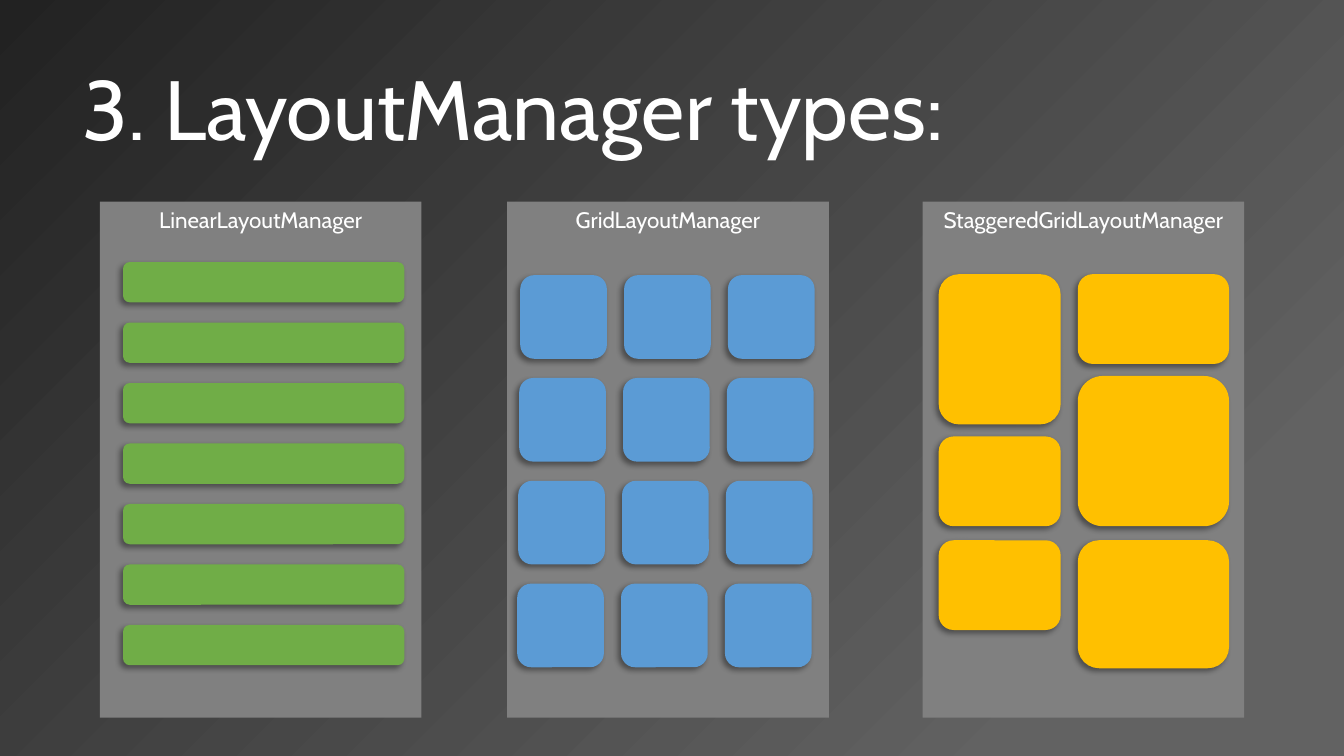
from dataclasses import dataclass

from pptx import Presentation
from pptx.dml.color import RGBColor
from pptx.enum.shapes import MSO_SHAPE
from pptx.enum.text import MSO_ANCHOR, PP_ALIGN
from pptx.oxml import parse_xml
from pptx.oxml.ns import nsdecls, qn
from pptx.util import Inches, Pt

RECTANGLE = MSO_SHAPE.RECTANGLE
ROUNDED = MSO_SHAPE.ROUNDED_RECTANGLE
TOP, BOTTOM = MSO_ANCHOR.TOP, MSO_ANCHOR.BOTTOM
LEFT, CENTER = PP_ALIGN.LEFT, PP_ALIGN.CENTER


@dataclass(frozen=True)
class Theme:
    font: str = "Cabin"
    title_size: int = 60
    label_size: int = 16
    text: str = "FFFFFF"
    panel: str = "808080"
    linear: str = "70AD47"
    grid: str = "5B9BD5"
    staggered: str = "FFC000"
    background_light: str = "626262"
    background_dark: str = "222222"
    shadow: str = "000000"


THEME = Theme()


def paint_background(slide):
    """Radial gradient, light at the bottom right corner."""
    slide.background.fill.gradient()
    gradient = slide.element.find(".//" + qn("a:gradFill"))
    gradient.getparent().replace(gradient, parse_xml(
        f'<a:gradFill {nsdecls("a")} rotWithShape="1"><a:gsLst>'
        f'<a:gs pos="16000"><a:srgbClr val="{THEME.background_light}"/></a:gs>'
        f'<a:gs pos="100000"><a:srgbClr val="{THEME.background_dark}"/></a:gs>'
        '</a:gsLst><a:path path="circle"><a:fillToRect l="100000" t="100000"/></a:path>'
        '<a:tileRect r="-100000" b="-100000"/></a:gradFill>'))


def add_text(slide, box, text, size, anchor=TOP, alignment=LEFT):
    frame = slide.shapes.add_textbox(*map(Inches, box)).text_frame
    frame.word_wrap = True
    frame.vertical_anchor = anchor
    paragraph = frame.paragraphs[0]
    paragraph.text = text
    paragraph.alignment = alignment
    paragraph.font.name = THEME.font
    paragraph.font.size = Pt(size)
    paragraph.font.color.rgb = RGBColor.from_string(THEME.text)
    return paragraph


def add_block(slide, kind, box, color):
    shape = slide.shapes.add_shape(kind, *map(Inches, box))
    shape.shadow.inherit = False
    shape.fill.solid()
    shape.fill.fore_color.rgb = RGBColor.from_string(color)
    shape.line.fill.background()
    return shape


def add_item(slide, box, color):
    """Rounded list item with a soft shadow to the lower left."""
    shape = add_block(slide, ROUNDED, box, color)
    effects = shape.element.spPr.find(qn("a:effectLst"))
    effects.append(parse_xml(
        f'<a:outerShdw {nsdecls("a")} blurRad="{Pt(4)}" dist="{Pt(3)}" dir="8100000" '
        f'algn="tr" rotWithShape="0"><a:srgbClr val="{THEME.shadow}">'
        '<a:alpha val="40000"/></a:srgbClr></a:outerShdw>'))


def add_title(slide, box):
    paragraph = add_text(slide, box, "3. LayoutManager types:", THEME.title_size, BOTTOM)
    paragraph.line_spacing = 0.9


def add_panel(slide, box, label):
    left, top, width, _ = box
    add_block(slide, RECTANGLE, box, THEME.panel)
    add_text(slide, (left, top, width, 0.37), label, THEME.label_size, alignment=CENTER)


def add_linear(slide, box):
    left, top, _, _ = box
    add_panel(slide, box, "LinearLayoutManager")
    for row in range(7):
        add_item(slide, (left + 0.23, top + 0.6 + row * 0.6, 2.79, 0.4), THEME.linear)


def add_grid(slide, box):
    left, top, _, _ = box
    add_panel(slide, box, "GridLayoutManager")
    row_shift = 0.01  # each row starts slightly further left
    for row in range(4):
        for column in range(3):
            item_left = left + 0.13 + column * 1.03 - row * row_shift
            item_top = top + 0.73 + row * 1.02
            add_item(slide, (item_left, item_top, 0.86, 0.83), THEME.grid)


def add_staggered(slide, box):
    left, top, _, _ = box
    add_panel(slide, box, "StaggeredGridLayoutManager")
    # Column offset, width, and the (offset, height) of its items
    columns = [
        (0.16, 1.21, [(0.72, 1.49), (2.33, 0.89), (3.36, 0.89)]),
        (1.54, 1.5, [(0.72, 0.89), (1.73, 1.49), (3.36, 1.27)]),
    ]
    for column_offset, width, items in columns:
        for item_offset, height in items:
            item_box = (left + column_offset, top + item_offset, width, height)
            add_item(slide, item_box, THEME.staggered)


presentation = Presentation()
presentation.slide_width = Inches(13.33)
presentation.slide_height = Inches(7.5)
slide = presentation.slides.add_slide(presentation.slide_layouts[6])

paint_background(slide)
add_title(slide, (0.72, 0.49, 11.83, 1.13))
for add_region, region_left in ((add_linear, 0.99), (add_grid, 5.03), (add_staggered, 9.15)):
    add_region(slide, (region_left, 2, 3.19, 5.12))

presentation.save("out.pptx")
